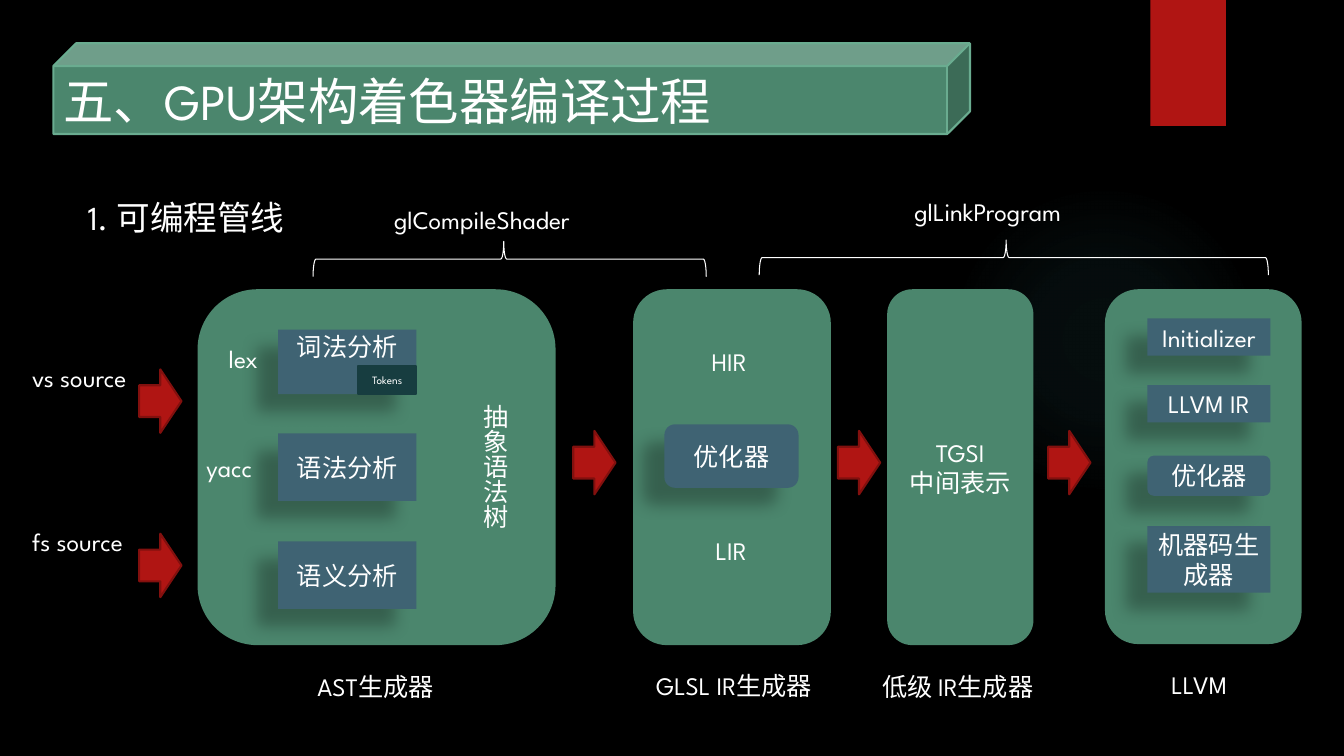
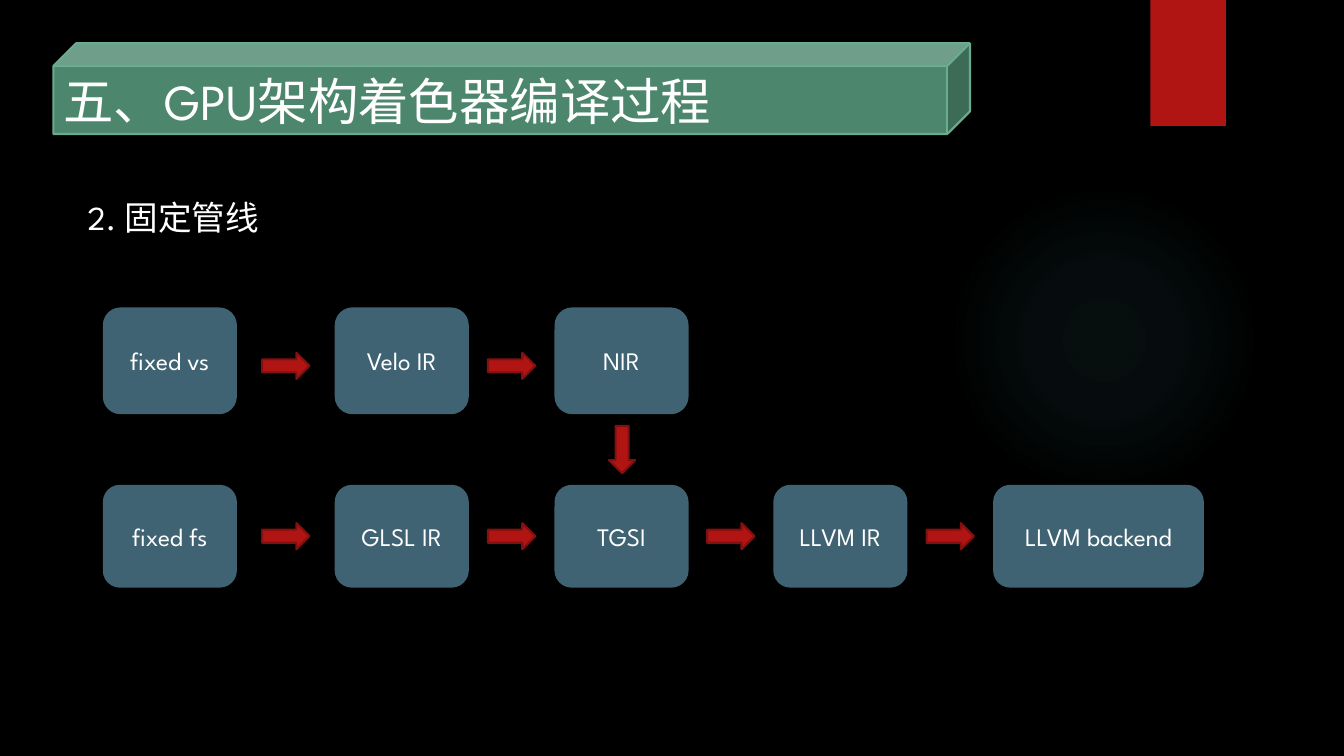
"""Build two slides on the shader compilation pipelines."""
from dataclasses import dataclass

from pptx import Presentation
from pptx.dml.color import RGBColor
from pptx.enum.shapes import MSO_SHAPE
from pptx.enum.text import MSO_ANCHOR, MSO_AUTO_SIZE, PP_ALIGN
from pptx.oxml import parse_xml
from pptx.oxml.ns import nsdecls, qn
from pptx.presentation import Presentation as Deck
from pptx.shapes.autoshape import Shape
from pptx.slide import Slide
from pptx.util import Inches, Pt

RECT, ROUND = MSO_SHAPE.RECTANGLE, MSO_SHAPE.ROUNDED_RECTANGLE
ARROW, BRACE = MSO_SHAPE.RIGHT_ARROW, MSO_SHAPE.RIGHT_BRACE
CUBE, OVAL = MSO_SHAPE.CUBE, MSO_SHAPE.OVAL
TOP, MIDDLE = MSO_ANCHOR.TOP, MSO_ANCHOR.MIDDLE
LEFT, CENTER = PP_ALIGN.LEFT, PP_ALIGN.CENTER
NO_AUTOFIT = MSO_AUTO_SIZE.NONE

FONT = "League Spartan"
BLACK, WHITE = "000000", "FFFFFF"
GREEN, GREEN_EDGE = "4B866D", "6AAC90"
RED, RED_EDGE = "B01513", "82100E"
BLUE, TEAL, GLOW = "3F6373", "173D40", "50B9C1"
TITLE = "五、GPU架构着色器编译过程"


@dataclass(frozen=True)
class Box:
    """A rectangle in inches with its text."""
    left: float
    top: float
    width: float
    height: float
    text: str = ""


@dataclass(frozen=True)
class Shadow:
    """An outer shadow: opacity in percent, lengths in points, angle in degrees."""
    alpha: int
    blur: float
    distance: float
    angle: int


STEP_SHADOW = Shadow(28, 11.8, 19.7, 141)
TAB_SHADOW = Shadow(45, 3, 2, 90)

PANELS = [
    Box(1.97, 2.88, 3.53, 3.51),
    Box(6.29, 2.88, 1.94, 3.51),
    Box(8.81, 2.88, 1.43, 3.51, "TGSI\n中间表示"),
    Box(10.97, 2.88, 1.93, 3.5),
]
SQUARE_STEPS = [
    Box(2.76, 4.3, 1.37, 0.67, "语法分析"),
    Box(2.76, 5.37, 1.37, 0.67, "语义分析"),
    Box(11.38, 3.16, 1.22, 0.37, "Initializer"),
    Box(11.38, 3.82, 1.22, 0.37, "LLVM IR"),
    Box(11.38, 5.22, 1.22, 0.66, "机器码生成器"),
]
OPTIMIZERS = [
    Box(6.59, 4.21, 1.33, 0.63, "优化器"),
    Box(11.38, 4.52, 1.22, 0.4, "优化器"),
]
LABELS = [
    Box(2.17, 3.36, 0.54, 0.4, "lex"),
    Box(1.95, 4.44, 0.83, 0.4, "yacc"),
    Box(6.96, 3.39, 0.58, 0.4, "HIR"),
    Box(7, 5.26, 0.53, 0.4, "LIR"),
    Box(3.05, 6.61, 1.38, 0.4, "AST生成器"),
    Box(6.41, 6.6, 1.82, 0.4, "GLSL IR生成器"),
    Box(8.65, 6.61, 1.74, 0.4, "低级 IR生成器"),
    Box(11.52, 6.59, 0.85, 0.4, "LLVM"),
    Box(0.22, 3.54, 1.29, 0.71, "vs source"),
    Box(0.22, 5.17, 1.29, 0.71, "fs source"),
    Box(3.81, 1.98, 2.48, 0.4, "glCompileShader"),
    Box(8.97, 1.9, 2.48, 0.4, "glLinkProgram"),
]
BRACES = [Box(4.88, 0.62, 0.35, 3.9), Box(9.88, 0.03, 0.35, 5.05)]

COLUMNS = [(1.02, 1.33), (3.32, 1.33), (5.5, 1.33), (7.67, 1.33), (9.85, 2.09)]
VERTEX_ROW = ["fixed vs", "Velo IR", "NIR"]
FRAGMENT_ROW = ["fixed fs", "GLSL IR", "TGSI", "LLVM IR", "LLVM backend"]


def rgb(color: str) -> RGBColor:
    """Turn a hex string into a colour."""
    return RGBColor.from_string(color)


def write(sp: Shape, text: str, *, size: float = 18, color: str = WHITE,
          align: PP_ALIGN = LEFT, anchor: MSO_ANCHOR = TOP,
          inset: float = 0.05) -> None:
    """Fill a shape with one formatted paragraph per line of text."""
    tf = sp.text_frame
    tf.word_wrap, tf.auto_size = True, NO_AUTOFIT
    tf.vertical_anchor = anchor
    tf.margin_left = tf.margin_right = Inches(0.1)
    tf.margin_top = tf.margin_bottom = Inches(inset)
    for i, line in enumerate(text.split("\n")):
        p = tf.add_paragraph() if i else tf.paragraphs[0]
        p.alignment = align
        r = p.add_run()
        r.text = line
        r.font.name, r.font.size = FONT, Pt(size)
        r.font.color.rgb = rgb(color)


def add_text(slide: Slide, box: Box, *, size: float = 18) -> Shape:
    """Add a text box."""
    sp = slide.shapes.add_textbox(Inches(box.left), Inches(box.top),
                                  Inches(box.width), Inches(box.height))
    write(sp, box.text, size=size)
    return sp


def add_shape(slide: Slide, kind: MSO_SHAPE, box: Box, *, fill: str = "",
              line: str = "", weight: float = 1.5, rotation: float = 0,
              shadow: Shadow | None = None, size: float = 18,
              anchor: MSO_ANCHOR = MIDDLE, inset: float = 0.05) -> Shape:
    """Add a preset shape with its fill, line, shadow and text."""
    sp = slide.shapes.add_shape(kind, Inches(box.left), Inches(box.top),
                                Inches(box.width), Inches(box.height))
    sp.rotation = rotation
    if fill:
        sp.fill.solid()
        sp.fill.fore_color.rgb = rgb(fill)
    else:
        sp.fill.background()
    if line:
        sp.line.color.rgb = rgb(line)
        sp.line.width = Pt(weight)
    else:
        sp.line.fill.background()
    sp.shadow.inherit = False
    if shadow:
        sp.element.spPr.find(qn("a:effectLst")).append(parse_xml(
            f'<a:outerShdw {nsdecls("a")} blurRad="{Pt(shadow.blur)}" '
            f'dist="{Pt(shadow.distance)}" dir="{shadow.angle * 60000}" '
            f'algn="ctr" rotWithShape="0"><a:srgbClr val="{BLACK}">'
            f'<a:alpha val="{shadow.alpha * 1000}"/></a:srgbClr></a:outerShdw>'))
    if box.text:
        write(sp, box.text, size=size, align=CENTER, anchor=anchor, inset=inset)
    return sp


def add_glow(slide: Slide) -> None:
    """Add the faint round glow behind the content."""
    sp = add_shape(slide, OVAL, Box(9.41, 1.83, 3.08, 3.08))
    stops = "".join(
        f'<a:gs pos="{pos * 1000}"><a:srgbClr val="{GLOW}">'
        f'<a:alpha val="{alpha * 1000}"/></a:srgbClr></a:gs>'
        for pos, alpha in ((0, 7), (36, 6), (69, 0)))
    spPr = sp.element.spPr
    spPr.replace(spPr.find(qn("a:noFill")), parse_xml(
        f'<a:gradFill {nsdecls("a")}><a:gsLst>{stops}</a:gsLst>'
        '<a:path path="circle"><a:fillToRect l="50000" t="50000" r="50000" '
        'b="50000"/></a:path></a:gradFill>'))


def add_base(prs: Deck, heading: str) -> Slide:
    """Add a slide with the shared decoration, title and its own heading."""
    slide = prs.slides.add_slide(prs.slide_layouts[5])
    add_glow(slide)
    add_shape(slide, RECT, Box(11.41, 0, 0.75, 1.25), fill=RED, shadow=TAB_SHADOW)
    cube = add_shape(slide, CUBE, Box(0.53, 0.43, 9.09, 0.9), fill=GREEN,
                     line=GREEN_EDGE)
    title = slide.shapes.title
    title.left, title.top = Inches(0.53), Inches(0.66)
    title.width, title.height = Inches(8.86), Inches(0.67)
    write(title, TITLE, size=36, anchor=MIDDLE, inset=0)
    cube.element.addnext(title.element)
    add_text(slide, Box(0.77, 1.9, 4.71, 0.59, heading), size=24)
    return slide


def add_arrow(slide: Slide, cx: float, cy: float, width: float, height: float,
              *, rotation: float = 0) -> None:
    """Add a red block arrow centred on a point."""
    box = Box(cx - width / 2, cy - height / 2, width, height)
    add_shape(slide, ARROW, box, fill=RED, line=RED_EDGE, rotation=rotation)


def add_arrows_between(slide: Slide, boxes: list[Box], cy: float, width: float,
                       height: float) -> None:
    """Centre an arrow in each gap of a row of boxes."""
    for a, b in zip(boxes, boxes[1:]):
        add_arrow(slide, (a.left + a.width + b.left) / 2, cy, width, height)


def build_programmable(prs: Deck) -> None:
    """Build the slide on the programmable pipeline."""
    slide = add_base(prs, "1. 可编程管线")
    for box in PANELS:
        add_shape(slide, ROUND, box, fill=GREEN, line=GREEN)
    add_shape(slide, RECT, Box(2.76, 3.27, 1.37, 0.64, "词法分析"), fill=BLUE,
              shadow=STEP_SHADOW, anchor=TOP, inset=0.02)
    for kind, boxes in ((RECT, SQUARE_STEPS), (ROUND, OPTIMIZERS)):
        for box in boxes:
            add_shape(slide, kind, box, fill=BLUE, shadow=STEP_SHADOW)
    add_shape(slide, RECT, Box(3.55, 3.63, 0.58, 0.28, "Tokens"), fill=TEAL,
              line=TEAL, size=8)
    for box in LABELS:
        add_text(slide, box)
    tree = add_text(slide, Box(4.61, 3.91, 0.5, 1.6, "抽象语法树"))
    tree.element.txBody.find(qn("a:bodyPr")).set("vert", "eaVert")
    add_arrows_between(slide, PANELS, 4.59, 0.42, 0.63)
    for cy in (3.98, 5.61):
        add_arrow(slide, 1.59, cy, 0.42, 0.63)
    for box in BRACES:
        sp = add_shape(slide, BRACE, box, line=WHITE, weight=0.75, rotation=270)
        sp.adjustments[0], sp.adjustments[1] = 0.083, 0.485


def build_fixed(prs: Deck) -> None:
    """Build the slide on the fixed pipeline."""
    slide = add_base(prs, "2. 固定管线")
    for names, top, height, arrow_y in ((VERTEX_ROW, 3.05, 1.06, 3.63),
                                        (FRAGMENT_ROW, 4.81, 1.02, 5.32)):
        boxes = [Box(left, top, width, height, name)
                 for (left, width), name in zip(COLUMNS, names)]
        for box in boxes:
            add_shape(slide, ROUND, box, fill=BLUE, shadow=STEP_SHADOW)
        add_arrows_between(slide, boxes, arrow_y, 0.47, 0.26)
    add_arrow(slide, 6.17, 4.46, 0.47, 0.26, rotation=90)


def main() -> None:
    """Build and save the presentation."""
    prs = Presentation()
    prs.slide_width, prs.slide_height = Inches(13.33), Inches(7.5)
    fill = prs.slide_master.background.fill
    fill.solid()
    fill.fore_color.rgb = rgb(BLACK)
    build_programmable(prs)
    build_fixed(prs)
    prs.save("out.pptx")


if __name__ == "__main__":
    main()
